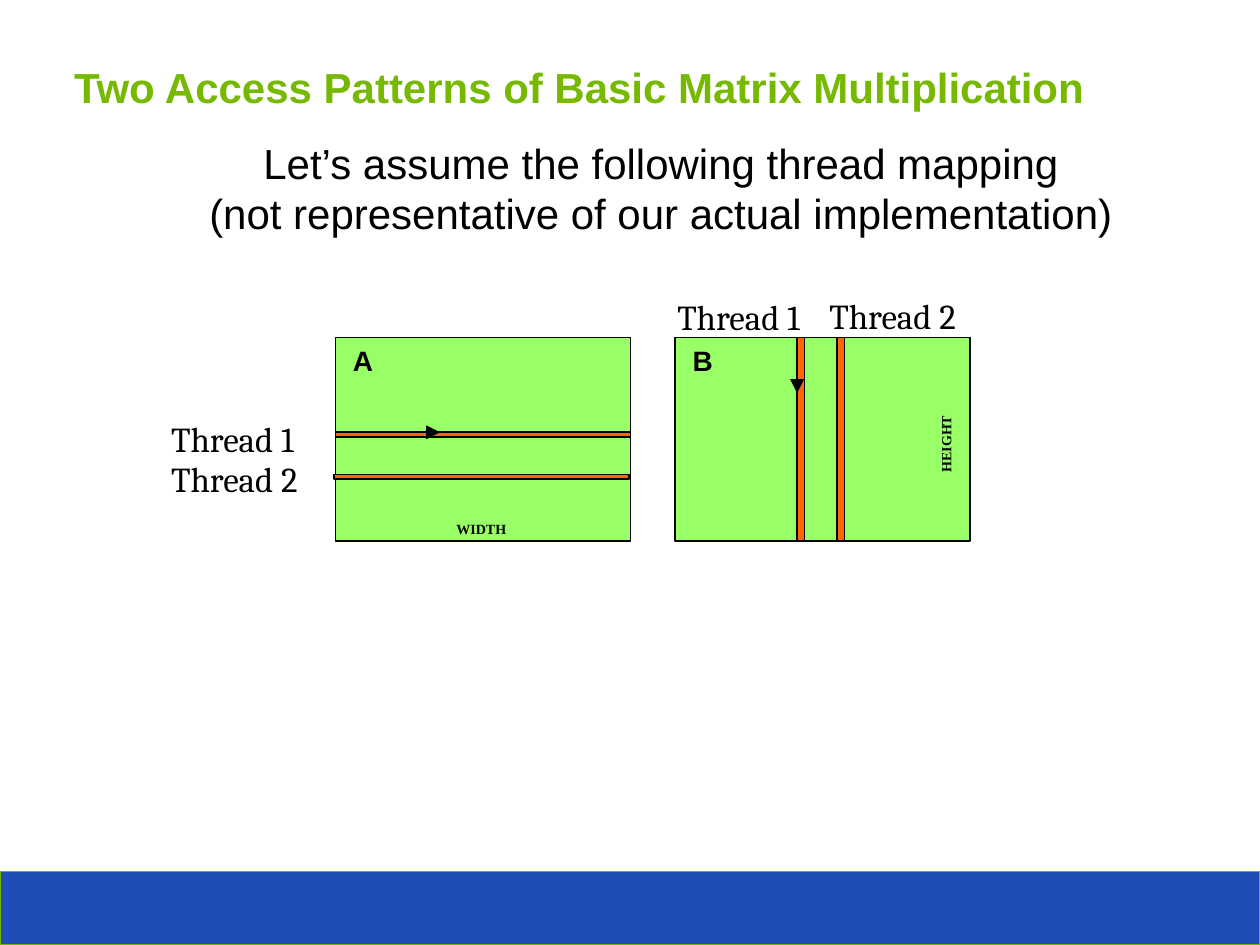
from lxml import etree
from pptx import Presentation
from pptx import util as u
from pptx.dml.color import RGBColor
from pptx.enum import shapes, text
from pptx.oxml.ns import qn

# Grid: 75 columns by 56.25 rows of square cells
CELL = u.Inches(0.1)
COLUMNS, ROWS = 75, 56.25
FOOTER_HEIGHT = 4.38

COLORS = {
    "title": "76B900",
    "ink": "000000",
    "matrix": "99FF66",
    "thread": "FF6600",
    "footer": "204DB5",
    "footer_line": "72B400",
}

# Matrices and the bars that the threads read
MATRIX_WIDTH, MATRIX_HEIGHT = 17.55, 12.12
MATRIX_TOP = 20.1
A_LEFT, B_LEFT = 19.98, 40.2
ROW_BARS = [(A_LEFT, 25.73), (A_LEFT - 0.1, 28.25)]
ROW_BAR_HEIGHT = 0.28
COLUMN_BARS = [47.45, 49.82]
COLUMN_BAR_WIDTH = 0.45


def grid(*cells):
    return [round(cell * CELL) for cell in cells]


def color(name):
    return RGBColor.from_string(COLORS[name])


def add_box(slide, left, top, width, height, fill, line="ink"):
    shape = slide.shapes.add_shape(
        shapes.MSO_SHAPE.RECTANGLE, *grid(left, top, width, height))
    shape.shadow.inherit = False
    shape.fill.solid()
    shape.fill.fore_color.rgb = color(fill)
    shape.line.color.rgb = color(line)
    shape.line.width = u.Pt(0.75)
    return shape


def add_text(slide, left, top, width, height, words, size, font="Arial",
             bold=False, ink="ink", align=text.PP_ALIGN.LEFT,
             tight=False, rotation=0):
    shape = slide.shapes.add_textbox(*grid(left, top, width, height))
    shape.rotation = rotation
    frame = shape.text_frame
    frame.word_wrap = False
    if tight:
        frame.margin_left = frame.margin_right = 0
        frame.margin_top = frame.margin_bottom = 0
    frame.text = words
    for paragraph in frame.paragraphs:
        paragraph.alignment = align
        for run in paragraph.runs:
            run.font.name = font
            run.font.size = u.Pt(size)
            run.font.bold = bold
            run.font.color.rgb = color(ink)
    return shape


def add_matrix(slide, left, name):
    add_box(slide, left, MATRIX_TOP, MATRIX_WIDTH, MATRIX_HEIGHT, "matrix")
    add_text(slide, left + 1.02, MATRIX_TOP + 0.35, 1.2, 2, name, 12,
             bold=True, tight=True)


def add_dimension(slide, left, top, width, words, rotation=0):
    add_text(slide, left, top, width, 1, words, 6, "Times New Roman",
             bold=True, tight=True, rotation=rotation)


def add_arrow(slide, start, end):
    arrow = slide.shapes.add_connector(
        shapes.MSO_CONNECTOR.STRAIGHT, *grid(*start, *end))
    arrow.line.color.rgb = color("ink")
    arrow.line.width = u.Pt(0.75)
    etree.SubElement(arrow.line._get_or_add_ln(), qn("a:tailEnd"),
                     type="triangle")
    etree.SubElement(arrow._element.spPr, qn("a:effectLst"))


def main():
    presentation = Presentation()
    presentation.slide_width, presentation.slide_height = grid(COLUMNS, ROWS)
    slide = presentation.slides.add_slide(presentation.slide_layouts[6])

    # Footer band, title and introduction
    add_box(slide, 0, ROWS - FOOTER_HEIGHT, COLUMNS, FOOTER_HEIGHT,
            "footer", "footer_line")
    add_text(slide, 3.43, 3.2, 68.2, 4,
             "Two Access Patterns of Basic Matrix Multiplication", 18,
             bold=True, ink="title")
    add_text(slide, 11.2, 7.67, 56.3, 7.1,
             "Let’s assume the following thread mapping\n"
             "(not representative of our actual implementation)", 18,
             align=text.PP_ALIGN.CENTER)

    # Matrices
    add_matrix(slide, A_LEFT, "A")
    add_matrix(slide, B_LEFT, "B")
    add_dimension(slide, 27.17, 31, 3, "WIDTH")
    add_dimension(slide, 54.6, 25.92, 3.4, "HEIGHT", rotation=270)

    # Rows of A and columns of B read by each thread
    for left, top in ROW_BARS:
        add_box(slide, left, top, MATRIX_WIDTH, ROW_BAR_HEIGHT, "thread")
    for left in COLUMN_BARS:
        add_box(slide, left, MATRIX_TOP, COLUMN_BAR_WIDTH, MATRIX_HEIGHT,
                "thread")

    # Reading directions
    row_top, column_left = ROW_BARS[0][1], COLUMN_BARS[0]
    add_arrow(slide, (23.7, row_top), (26.2, row_top))
    add_arrow(slide, (column_left, 22), (column_left, 23.4))

    # Thread labels
    for left, top, number in [(9.2, 24.36, 1), (9.2, 26.73, 2),
                              (39.33, 17.1, 1), (48.38, 17.06, 2)]:
        add_text(slide, left, top, 9.5, 3.5, f"Thread {number}", 15, "Cambria")

    presentation.save("out.pptx")


if __name__ == "__main__":
    main()
